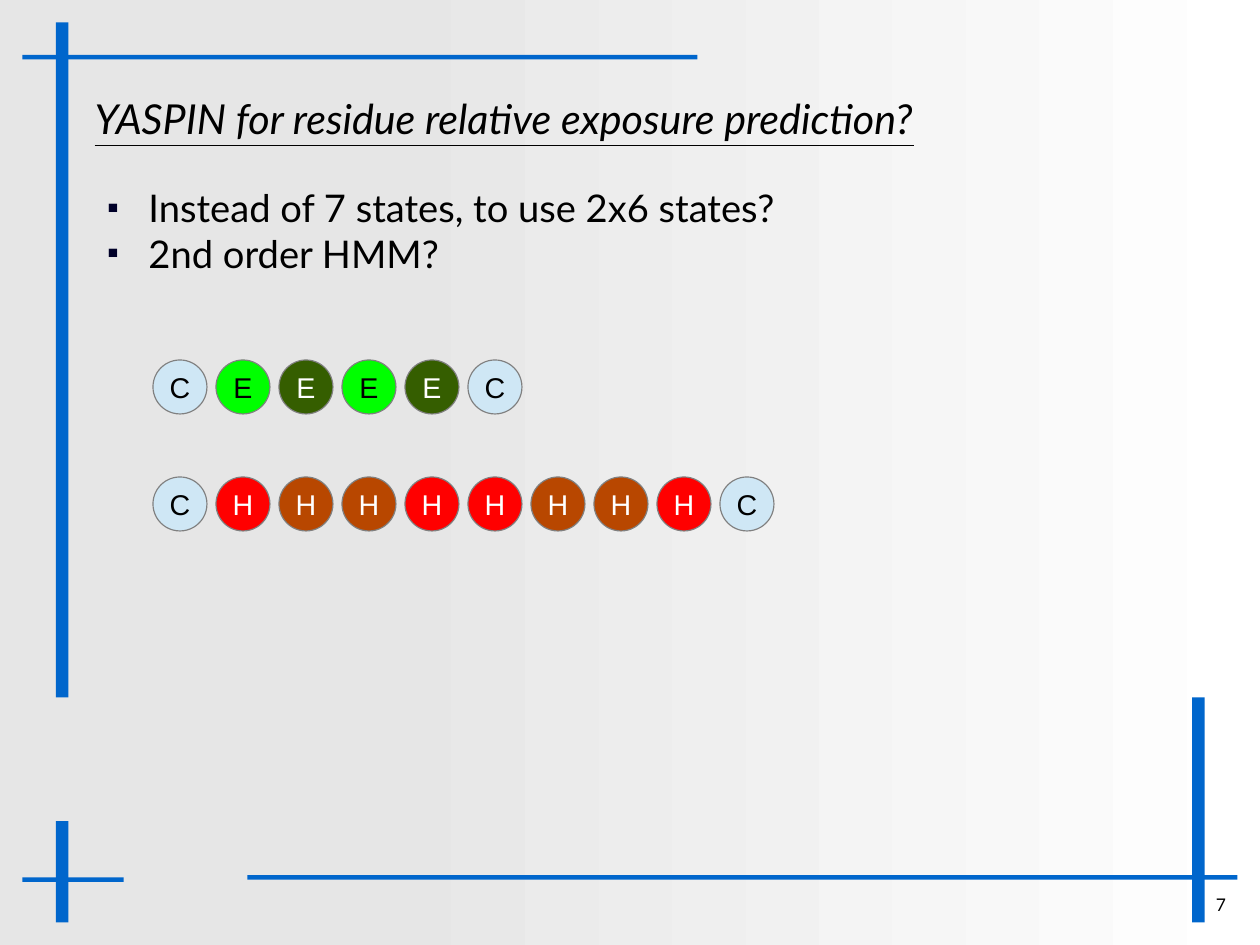
from lxml.etree import SubElement
from pptx import Presentation
from pptx.dml.color import RGBColor
from pptx.enum.shapes import MSO_SHAPE as Shape
from pptx.enum.text import MSO_ANCHOR as Anchor, MSO_AUTO_SIZE as AutoSize, PP_ALIGN as Align
from pptx.oxml.ns import qn
from pptx.util import Cm, Pt

BLACK = RGBColor(0x00, 0x00, 0x00)
WHITE = RGBColor(0xFF, 0xFF, 0xFF)
PALE_GREY = RGBColor(0xE6, 0xE6, 0xE6)
GREY = RGBColor(0x80, 0x80, 0x80)
BLUE = RGBColor(0x00, 0x66, 0xCC)
NAVY = RGBColor(0x00, 0x00, 0x28)
PALE_BLUE = RGBColor(0xCF, 0xE7, 0xF5)
GREEN = RGBColor(0x00, 0xFF, 0x00)
DARK_GREEN = RGBColor(0x35, 0x5E, 0x00)
RED = RGBColor(0xFF, 0x00, 0x00)
BROWN = RGBColor(0xB8, 0x47, 0x00)

STATE_COLOURS = {
    "C": (PALE_BLUE, BLACK),
    "E": (GREEN, BLACK),
    "e": (DARK_GREEN, WHITE),
    "H": (RED, WHITE),
    "h": (BROWN, WHITE),
}
BARS = [
    (26.49, 15.5, 0.28, 5),
    (5.5, 19.45, 22, 0.1),
    (1.24, 0.5, 0.28, 15),
    (0.5, 1.22, 15, 0.1),
    (1.24, 18.25, 0.28, 2.25),
    (0.5, 19.5, 2.25, 0.1),
]


class SlideBuilder:
    text_font = "Lato"
    state_font = "Arial"
    state_size = 1.2
    state_step = 1.4

    def __init__(self, slide):
        self.slide = slide

    def background(self):
        fill = self.slide.background.fill
        fill.gradient()
        fill.gradient_angle = 0
        for stop, position, colour in zip(fill.gradient_stops, (0.3, 1), (PALE_GREY, WHITE)):
            stop.position = position
            stop.color.rgb = colour

    def style(self, paragraph, size, name=text_font, colour=BLACK):
        font = paragraph.font
        font.name = name
        font.size = Pt(size)
        font.color.rgb = colour
        return font

    def place(self, shape, left, top, width, height):
        shape.left, shape.top = Cm(left), Cm(top)
        shape.width, shape.height = Cm(width), Cm(height)
        frame = shape.text_frame
        frame.margin_left = frame.margin_right = frame.margin_top = frame.margin_bottom = 0
        frame.auto_size = AutoSize.NONE
        return frame

    def title(self, text, *box):
        frame = self.place(self.slide.shapes.title, *box)
        frame.text = text
        frame.vertical_anchor = Anchor.MIDDLE
        paragraph = frame.paragraphs[0]
        paragraph.alignment = Align.LEFT
        font = self.style(paragraph, 26)
        font.italic = font.underline = True

    def bullet(self, paragraph):
        properties = paragraph._p.get_or_add_pPr()
        properties.set("marL", str(Cm(1.2)))
        properties.set("indent", str(Cm(-0.9)))
        colour = SubElement(properties, qn("a:buClr"))
        SubElement(colour, qn("a:srgbClr"), val=str(NAVY))
        SubElement(properties, qn("a:buSzPct"), val="45000")
        SubElement(properties, qn("a:buFont"), typeface=self.state_font)
        SubElement(properties, qn("a:buChar"), char="■")

    def body(self, lines, *box):
        frame = self.place(self.slide.placeholders[1], *box)
        frame.text = "\n".join(lines)
        for paragraph in frame.paragraphs:
            self.bullet(paragraph)
            paragraph.space_before = Pt(0)
            self.style(paragraph, 24)

    def shape(self, kind, fill, left, top, width, height):
        shape = self.slide.shapes.add_shape(kind, Cm(left), Cm(top), Cm(width), Cm(height))
        shape.shadow.inherit = False
        shape.fill.solid()
        shape.fill.fore_color.rgb = fill
        return shape

    def bar(self, *box):
        self.shape(Shape.RECTANGLE, BLUE, *box).line.fill.background()

    def state_chain(self, states, left, top):
        for index, state in enumerate(states):
            fill, text_colour = STATE_COLOURS[state]
            circle = self.shape(Shape.OVAL, fill, left + index * self.state_step, top,
                                self.state_size, self.state_size)
            circle.line.color.rgb = GREY
            circle.line.width = Pt(0)
            frame = circle.text_frame
            frame.word_wrap = False
            frame.vertical_anchor = Anchor.MIDDLE
            frame.text = state.upper()
            paragraph = frame.paragraphs[0]
            paragraph.alignment = Align.CENTER
            self.style(paragraph, 18, self.state_font, text_colour)

    def page_number(self, text, left, top, width, height):
        box = self.slide.shapes.add_textbox(Cm(left), Cm(top), Cm(width), Cm(height))
        frame = box.text_frame
        frame.word_wrap = True
        frame.text = text
        paragraph = frame.paragraphs[0]
        paragraph.alignment = Align.CENTER
        self.style(paragraph, 11)


def main():
    presentation = Presentation()
    presentation.slide_width, presentation.slide_height = Cm(28), Cm(21)
    builder = SlideBuilder(presentation.slides.add_slide(presentation.slide_layouts[1]))
    builder.background()
    for bar in BARS:
        builder.bar(*bar)
    builder.page_number("7", 26.77, 19.74, 0.71, 1.02)
    builder.title("YASPIN for residue relative exposure prediction?", 2.1, 1.55, 23.72, 2.16)
    builder.body(["Instead of 7 states, to use 2x6 states?", "2nd order HMM?"],
                 2.1, 4.1, 23.72, 15.09)
    builder.state_chain("CEeEeC", 3.4, 8)
    builder.state_chain("CHhhHHhhHC", 3.4, 10.6)
    presentation.save("out.pptx")


if __name__ == "__main__":
    main()
